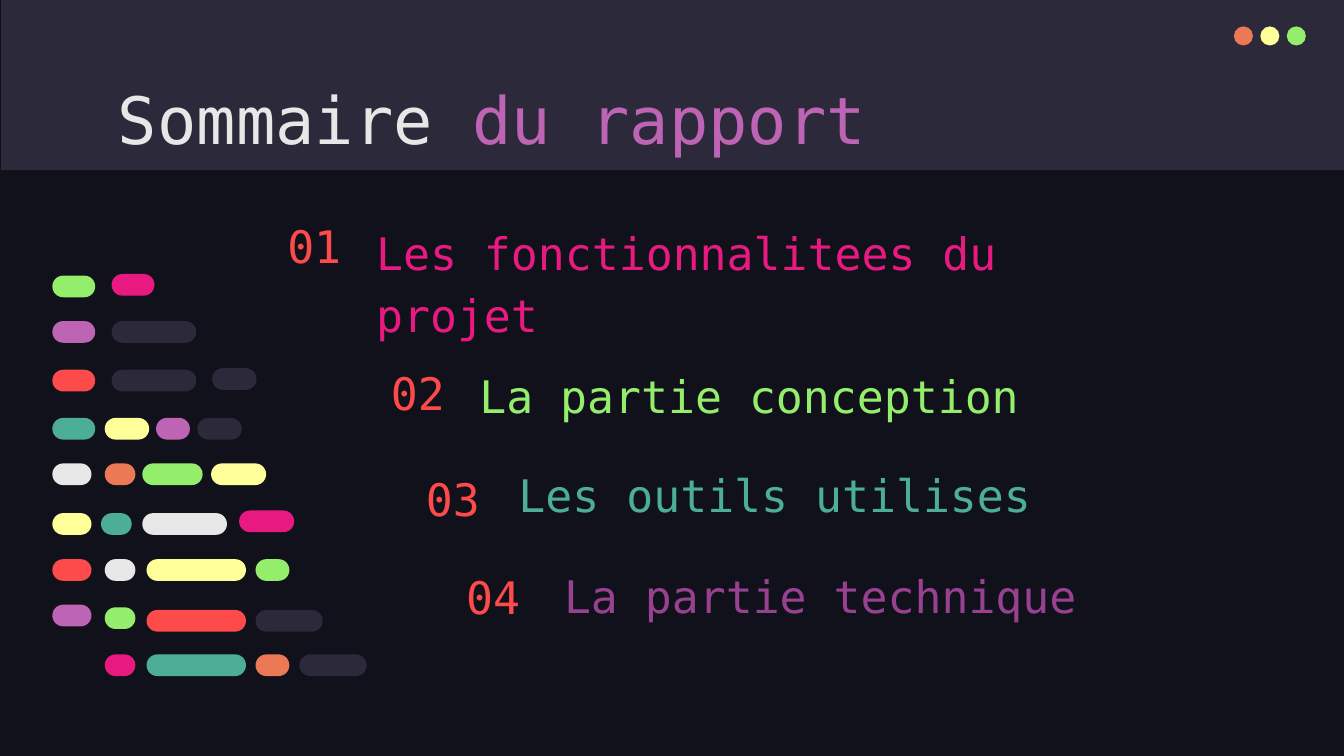
from pptx import Presentation
from pptx.dml.color import RGBColor
from pptx.enum.shapes import MSO_SHAPE
from pptx.enum.text import MSO_ANCHOR, MSO_AUTO_SIZE, PP_ALIGN
from pptx.util import Cm, Pt

RECTANGLE, OVAL = MSO_SHAPE.RECTANGLE, MSO_SHAPE.OVAL
ROUNDED = MSO_SHAPE.ROUNDED_RECTANGLE
TOP, MIDDLE, BOTTOM = MSO_ANCHOR.TOP, MSO_ANCHOR.MIDDLE, MSO_ANCHOR.BOTTOM
LEFT = PP_ALIGN.LEFT
NO_AUTOFIT = MSO_AUTO_SIZE.NONE

NIGHT = RGBColor(0x10, 0x11, 0x1A)
SLATE = RGBColor(0x2C, 0x29, 0x3A)
ORANGE = RGBColor(0xEC, 0x79, 0x55)
YELLOW = RGBColor(0xFF, 0xFF, 0x99)
GREEN = RGBColor(0x94, 0xEE, 0x6B)
PINK = RGBColor(0xE8, 0x1A, 0x81)
LILAC = RGBColor(0xBD, 0x64, 0xB5)
PURPLE = RGBColor(0x98, 0x41, 0x90)
RED = RGBColor(0xFD, 0x4A, 0x4A)
TEAL = RGBColor(0x4C, 0xAE, 0x97)
WHITE = RGBColor(0xE7, 0xE7, 0xE7)
FONT = "DejaVu Sans Mono"

# All lengths in centimetres
TITLE = [("Sommaire ", WHITE), ("du rapport", LILAC)]
WINDOW_DOTS = [ORANGE, YELLOW, GREEN]

# label, colour, number (left, top, height), label (left, top, width)
AGENDA = [
    ("Les fonctionnalitees du projet", PINK, (5.18, 4.09, 1.09), (6.86, 5.36, 13.26)),
    ("La partie conception", GREEN, (7.14, 6.88, 1.09), (8.81, 6.88, 11.68)),
    ("Les outils utilises", TEAL, (7.8, 8.97, 0.91), (9.55, 8.76, 11.68)),
    ("La partie technique", PURPLE, (8.56, 10.82, 0.91), (10.41, 10.67, 11.68)),
]
NUMBER_WIDTH, LABEL_HEIGHT = 1.68, 1.35

# Code lines: top, then pills of (left, width, colour, offset from the line)
EDGE, PILL_HEIGHT = 0.99, 0.41
CODE_LINES = [
    (5.21, [(EDGE, 0.81, GREEN, 0), (2.11, 0.81, PINK, -0.03)]),
    (6.07, [(EDGE, 0.81, LILAC, 0), (2.11, 1.6, SLATE, 0)]),
    (6.99, [(EDGE, 0.81, RED, 0), (2.11, 1.6, SLATE, 0), (4.01, 0.84, SLATE, -0.03)]),
    (7.9, [(EDGE, 0.81, TEAL, 0), (1.98, 0.84, YELLOW, 0),
           (2.95, 0.64, LILAC, 0), (3.73, 0.84, SLATE, 0)]),
    (8.76, [(EDGE, 0.74, WHITE, 0), (1.98, 0.58, ORANGE, 0),
            (2.69, 1.14, GREEN, 0), (3.99, 1.04, YELLOW, 0)]),
    (9.7, [(EDGE, 0.74, YELLOW, 0), (1.91, 0.58, TEAL, 0),
           (2.69, 1.6, WHITE, 0), (4.52, 1.04, PINK, -0.05)]),
    (10.57, [(EDGE, 0.74, RED, 0), (1.98, 0.58, WHITE, 0),
             (2.77, 1.88, YELLOW, 0), (4.83, 0.64, GREEN, 0)]),
    (11.43, [(EDGE, 0.74, LILAC, 0), (1.98, 0.58, GREEN, 0.05),
             (2.77, 1.88, RED, 0.1), (4.83, 1.27, SLATE, 0.1)]),
    (12.37, [(1.98, 0.58, PINK, 0), (2.77, 1.88, TEAL, 0),
             (4.83, 0.64, ORANGE, 0), (5.66, 1.27, SLATE, 0)]),
]


def add_block(shapes, kind, left, top, width, height, color):
    block = shapes.add_shape(kind, Cm(left), Cm(top), Cm(width), Cm(height))
    block.shadow.inherit = False
    block.fill.solid()
    block.fill.fore_color.rgb = color
    block.line.fill.background()
    return block


def write(frame, parts, size, anchor, spacing=1.0):
    """Fill a frame with one left-aligned paragraph of (text, colour) parts."""
    frame.word_wrap = True
    frame.auto_size = NO_AUTOFIT
    frame.vertical_anchor = anchor
    frame.margin_left = frame.margin_right = Cm(0.25)
    frame.margin_top = frame.margin_bottom = Cm(0.25)
    paragraph = frame.paragraphs[0]
    paragraph.alignment = LEFT
    paragraph.line_spacing = spacing
    for text, color in parts:
        run = paragraph.add_run()
        run.text = text
        run.font.name = FONT
        run.font.size = Pt(size)
        run.font.color.rgb = color


def add_text(shapes, text, color, left, top, width, height, anchor, spacing=1.0):
    box = shapes.add_textbox(Cm(left), Cm(top), Cm(width), Cm(height))
    write(box.text_frame, [(text, color)], 24, anchor, spacing)


prs = Presentation()
prs.slide_width, prs.slide_height = Cm(25.4), Cm(14.29)
slide = prs.slides.add_slide(prs.slide_layouts[5])
slide.background.fill.solid()
slide.background.fill.fore_color.rgb = NIGHT
shapes = slide.shapes

title = shapes.title
title.left, title.top, title.width, title.height = Cm(1.98), Cm(1.24), Cm(21.41), Cm(1.6)
write(title.text_frame, TITLE, 35, TOP)

band = add_block(shapes, RECTANGLE, 0.02, 0, 25.4, 3.22, SLATE)
title._element.addprevious(band._element)  # the band lies behind the title

dots = shapes.add_group_shape()
for i, color in enumerate(WINDOW_DOTS):
    add_block(dots.shapes, OVAL, 23.32 + 0.5 * i, 0.5, 0.36, 0.36, color)

code = shapes.add_group_shape()
for line_top, pills in CODE_LINES:
    for left, width, color, offset in pills:
        pill = add_block(code.shapes, ROUNDED, left, line_top + offset,
                         width, PILL_HEIGHT, color)
        pill.adjustments[0] = 0.5

for i, (label, color, number_at, label_at) in enumerate(AGENDA, 1):
    left, top, height = number_at
    add_text(shapes, f"{i:02}", RED, left, top, NUMBER_WIDTH, height, MIDDLE)
    left, top, width = label_at
    add_text(shapes, label, color, left, top, width, LABEL_HEIGHT, BOTTOM, 1.15)

prs.save("out.pptx")
